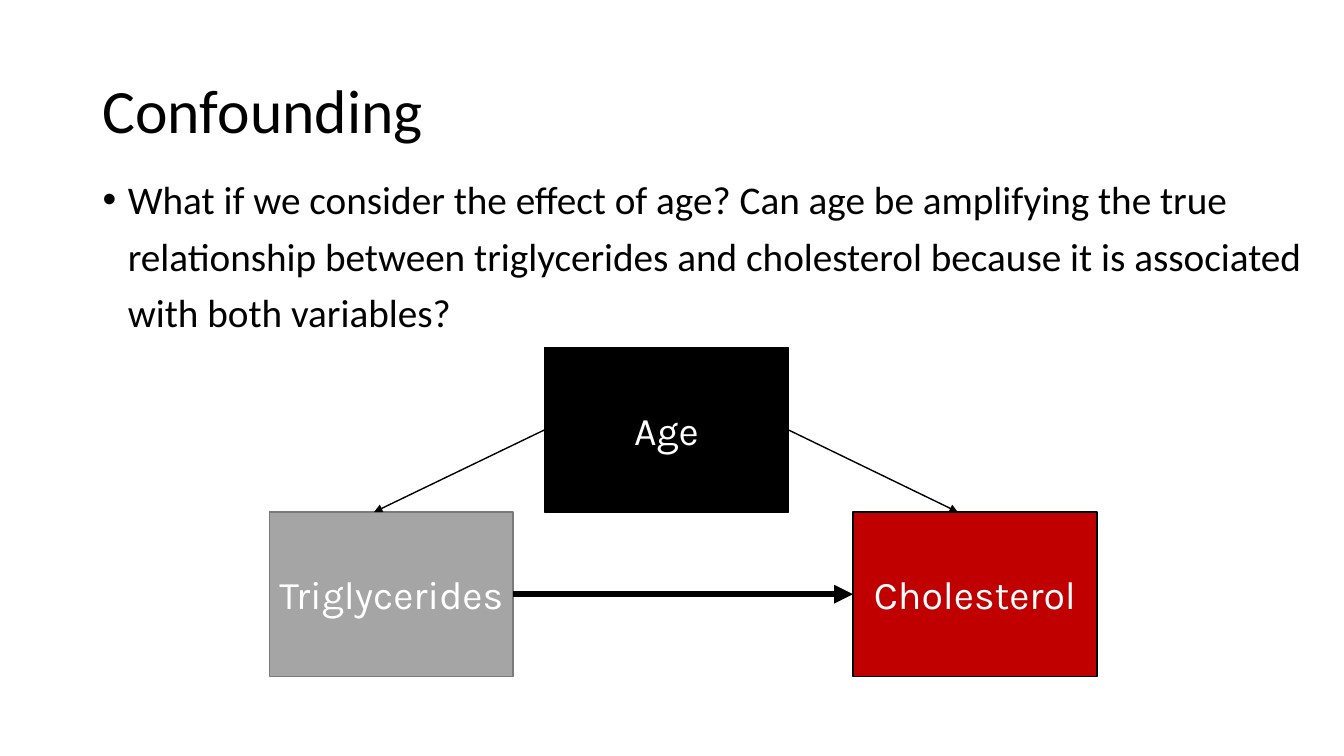
from lxml import etree
from pptx import Presentation
from pptx.dml.color import RGBColor
from pptx.enum.shapes import MSO_CONNECTOR, MSO_SHAPE
from pptx.enum.text import MSO_ANCHOR, PP_ALIGN
from pptx.oxml.ns import qn
from pptx.util import Inches, Pt

RECTANGLE = MSO_SHAPE.RECTANGLE
STRAIGHT = MSO_CONNECTOR.STRAIGHT
MIDDLE = MSO_ANCHOR.MIDDLE
CENTER = PP_ALIGN.CENTER
LEFT_SIDE, RIGHT_SIDE = 1, 3

BLACK, WHITE, GREY, DARK_GREY, RED = "000000", "FFFFFF", "A5A5A5", "7A7A7A", "C00000"
HEADING_FONT, VARIABLE_FONT = "Calibri", "Karla"
VARIABLE_WIDTH, VARIABLE_HEIGHT = 2.42, 1.63


def color(hex_string):
    return RGBColor.from_string(hex_string)


def style(paragraph, font_name, size, hex_color):
    for run in paragraph.runs:
        run.font.name = font_name
        run.font.size = Pt(size)
        run.font.color.rgb = color(hex_color)


def add_bullet(paragraph, indent):
    properties = paragraph._p.get_or_add_pPr()
    properties.set("marL", str(Inches(indent)))
    properties.set("indent", str(-Inches(indent)))
    etree.SubElement(properties, qn("a:buFont"), typeface="Arial")
    etree.SubElement(properties, qn("a:buChar"), char="•")


def add_text(slide, box, text, size, line_spacing):
    frame = slide.shapes.add_textbox(*map(Inches, box)).text_frame
    frame.word_wrap = True
    frame.text = text
    paragraph = frame.paragraphs[0]
    paragraph.line_spacing = line_spacing
    style(paragraph, HEADING_FONT, size, BLACK)
    return frame


def add_title(slide, box):
    add_text(slide, box, "Confounding", 44, 0.9).vertical_anchor = MIDDLE


def add_question(slide, box):
    question = add_text(
        slide, box,
        "What if we consider the effect of age? Can age be amplifying the true "
        "relationship between triglycerides and cholesterol because it is "
        "associated with both variables?", 28, 1.2)
    add_bullet(question.paragraphs[0], 0.25)


def add_variable(slide, left, top, label, fill, outline):
    variable = slide.shapes.add_shape(
        RECTANGLE, Inches(left), Inches(top),
        Inches(VARIABLE_WIDTH), Inches(VARIABLE_HEIGHT))
    variable.shadow.inherit = False
    variable.fill.solid()
    variable.fill.fore_color.rgb = color(fill)
    variable.line.color.rgb = color(outline)
    variable.line.width = Pt(1)
    frame = variable.text_frame
    frame.margin_left = frame.margin_right = Inches(0.05)
    frame.vertical_anchor = MIDDLE
    frame.text = label
    frame.paragraphs[0].alignment = CENTER
    style(frame.paragraphs[0], VARIABLE_FONT, 28, WHITE)
    return variable


def add_arrow(slide, source, side, end_x, end_y, width):
    """Draw an arrow from the middle of a side of source to a point."""
    arrow = slide.shapes.add_connector(STRAIGHT, 0, 0, end_x, end_y)
    arrow.begin_connect(source, side)
    arrow.line.color.rgb = color(BLACK)
    arrow.line.width = Pt(width)
    etree.SubElement(arrow.line._get_or_add_ln(), qn("a:tailEnd"), type="triangle")
    etree.SubElement(arrow._element.spPr, qn("a:effectLst"))
    return arrow


def add_confounding_diagram(slide, left, top, width):
    lower_top = top + VARIABLE_HEIGHT
    right = left + width - VARIABLE_WIDTH
    triglycerides = add_variable(slide, left, lower_top, "Triglycerides", GREY, DARK_GREY)
    cholesterol = add_variable(slide, right, lower_top, "Cholesterol", RED, BLACK)
    effect = add_arrow(slide, triglycerides, RIGHT_SIDE, cholesterol.left,
                       cholesterol.top + cholesterol.height // 2, 4.5)
    effect.end_connect(cholesterol, LEFT_SIDE)

    age = add_variable(slide, left + 2.73, top, "Age", BLACK, BLACK)
    for side, target_x in ((LEFT_SIDE, left + 1.04), (RIGHT_SIDE, right + 1.04)):
        add_arrow(slide, age, side, Inches(target_x), Inches(lower_top), 1)


def main():
    presentation = Presentation()
    presentation.slide_width = Inches(13.33)
    presentation.slide_height = Inches(7.5)
    slide = presentation.slides.add_slide(presentation.slide_layouts[6])
    add_title(slide, (0.92, 0.4, 11.5, 1.45))
    add_question(slide, (0.92, 1.6, 12.13, 5.72))
    add_confounding_diagram(slide, 2.67, 3.45, 8.21)
    presentation.save("out.pptx")


if __name__ == "__main__":
    main()
